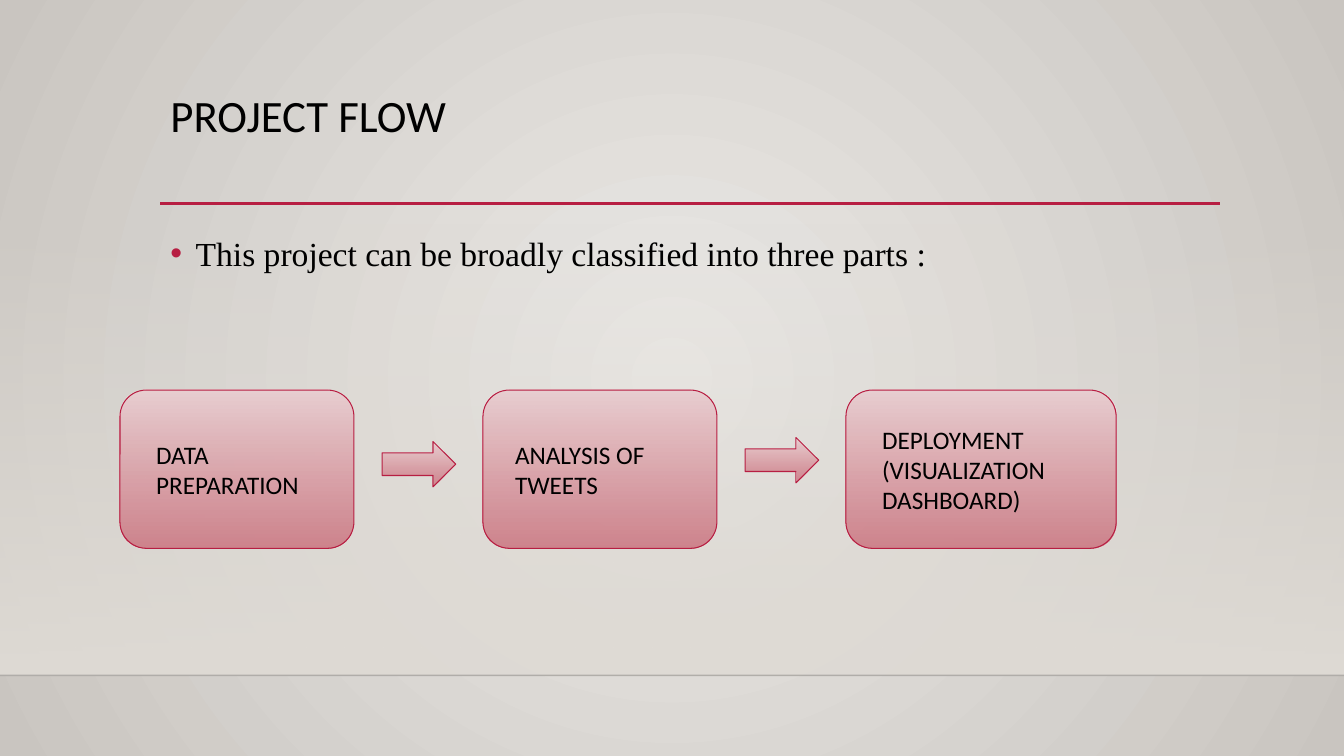
from lxml.etree import SubElement
from pptx import Presentation
from pptx.dml.color import RGBColor
from pptx.enum.shapes import MSO_CONNECTOR, MSO_SHAPE
from pptx.enum.text import MSO_ANCHOR, MSO_AUTO_SIZE, PP_ALIGN
from pptx.oxml import parse_xml
from pptx.oxml.ns import nsdecls, qn
from pptx.util import Inches, Pt

BLACK = RGBColor(0x00, 0x00, 0x00)
SHELF = RGBColor(0x00, 0x00, 0x01)
CRIMSON = RGBColor(0xB7, 0x1E, 0x42)
BLUSH = RGBColor(0xE9, 0xCE, 0xD1)
ROSE = RGBColor(0xCD, 0x7D, 0x87)
SAND = RGBColor(0xDF, 0xDB, 0xD5)
PALE_STONE = RGBColor(0xEB, 0xE9, 0xE6)
STONE = RGBColor(0xC9, 0xC5, 0xC0)

# The grid: cells of a tenth of an inch
CELL = 0.1
COLUMNS, ROWS = 133.3, 75

LINEAR = '<a:lin ang="5400000" scaled="0"/>'
RADIAL = ('<a:path path="circle"><a:fillToRect l="50000" t="50000" '
          'r="50000" b="50000"/></a:path>')
STEP_FILL = ((BLUSH, 100), (ROSE, 92))


def cells(*counts):
    return [Inches(count * CELL) for count in counts]


class FlowSlide:
    def __init__(self, presentation):
        self.slide = presentation.slides.add_slide(presentation.slide_layouts[1])
        self.shapes = self.slide.shapes

    def gradient(self, element, stops, direction=LINEAR):
        """Swap the first solid fill of an element for a two-stop gradient."""
        marks = "".join(
            f'<a:gs pos="{index * 100000}"><a:srgbClr val="{color}">'
            f'<a:alpha val="{opacity * 1000}"/></a:srgbClr></a:gs>'
            for index, (color, opacity) in enumerate(stops))
        fill = parse_xml(f'<a:gradFill {nsdecls("a")} rotWithShape="1">'
                         f'<a:gsLst>{marks}</a:gsLst>{direction}</a:gradFill>')
        solid = next(element.iter(qn("a:solidFill")))
        solid.getparent().replace(solid, fill)

    def background(self, stops):
        self.slide.background.fill.solid()
        self.gradient(self.slide.element, stops, RADIAL)

    def block(self, kind, box, stops, outline=None):
        shape = self.shapes.add_shape(kind, *cells(*box))
        shape.shadow.inherit = False
        shape.fill.solid()
        self.gradient(shape.element, stops)
        if outline is None:
            shape.line.fill.background()
        else:
            shape.line.color.rgb = outline
            shape.line.width = Pt(0.75)
        return shape

    def rule(self, left, right, row, color, width, opacity=100):
        line = self.shapes.add_connector(
            MSO_CONNECTOR.STRAIGHT, *cells(left, row, right, row))
        line.line.color.rgb = color
        line.line.width = Pt(width)
        properties = line.element.spPr
        SubElement(next(properties.iter(qn("a:srgbClr"))), qn("a:alpha"),
                   val=str(opacity * 1000))
        SubElement(properties, qn("a:effectLst"))

    def set_text(self, shape, text, font, anchor=MSO_ANCHOR.TOP, spacing=1.0):
        frame = shape.text_frame
        frame.text = text
        frame_format = {"word_wrap": True, "auto_size": MSO_AUTO_SIZE.NONE,
                        "vertical_anchor": anchor}
        paragraph = frame.paragraphs[0]
        paragraph_format = {"alignment": PP_ALIGN.LEFT, "line_spacing": spacing,
                            "space_before": Pt(0)}
        for target, values in ((frame, frame_format),
                               (paragraph, paragraph_format),
                               (paragraph.runs[0].font, font)):
            for name, value in values.items():
                setattr(target, name, value)
        paragraph.runs[0].font.color.rgb = BLACK
        return paragraph

    def placeholder(self, index, box, text, font, spacing):
        shape = self.slide.placeholders[index]
        shape.left, shape.top, shape.width, shape.height = cells(*box)
        # Bring the text in front of the band
        shape.element.getparent().append(shape.element)
        return self.set_text(shape, text, font, spacing=spacing)

    def bullet(self, paragraph, color):
        properties = paragraph._p.get_or_add_pPr()
        properties.set("marL", str(Inches(0.25)))
        properties.set("indent", str(Inches(-0.25)))
        bullet_color = SubElement(properties, qn("a:buClr"))
        SubElement(bullet_color, qn("a:srgbClr"), val=str(color))
        SubElement(properties, qn("a:buFont"), typeface="Arial")
        SubElement(properties, qn("a:buChar"), char="•")

    def label(self, box, text):
        shape = self.shapes.add_textbox(*cells(*box))
        self.set_text(shape, text, {"name": "Calibri", "size": Pt(18)},
                      MSO_ANCHOR.MIDDLE)


def main():
    presentation = Presentation()
    presentation.slide_width, presentation.slide_height = cells(COLUMNS, ROWS)
    flow = FlowSlide(presentation)

    # Backdrop and rules
    flow.background(((PALE_STONE, 100), (STONE, 100)))
    flow.block(MSO_SHAPE.RECTANGLE, (0, 22.1, COLUMNS, 44.9),
               ((SAND, 0), (SAND, 100)))
    flow.rule(0, COLUMNS, 67, SHELF, 1, opacity=20)
    flow.rule(15.9, 121, 20.2, CRIMSON, 2.5)

    # Title and introduction
    flow.placeholder(0, (15.9, 8.8, 105, 11.5), "PROJECT FLOW",
                     {"name": "Calibri", "size": Pt(32)}, 0.9)
    introduction = flow.placeholder(
        1, (15.9, 21.8, 113.6, 47.6),
        "This project can be broadly classified into three parts :",
        {"name": "Times New Roman", "size": Pt(24)}, 1.2)
    flow.bullet(introduction, CRIMSON)

    # Steps: text, box width, label inset, label width
    steps = (("DATA PREPARATION", 23.2, 2.6, 19.1),
             ("ANALYSIS OF TWEETS", 23.2, 2.2, 19.7),
             ("DEPLOYMENT (VISUALIZATION DASHBOARD)", 26.8, 2.6, 21.1))
    first, pitch, top, height = 11.9, 36, 38.7, 15.7
    for index, (text, width, inset, label_width) in enumerate(steps):
        left = first + index * pitch
        flow.block(MSO_SHAPE.ROUNDED_RECTANGLE, (left, top, width, height),
                   STEP_FILL, CRIMSON)
        flow.label((left + inset, top, label_width, height), text)

    # Arrows between the steps
    for index, arrow_top in enumerate((43.8, 43.4)):
        flow.block(MSO_SHAPE.RIGHT_ARROW,
                   (first + 26 + index * pitch, arrow_top, 7.3, 4.5),
                   STEP_FILL, CRIMSON)

    presentation.save("out.pptx")


if __name__ == "__main__":
    main()
